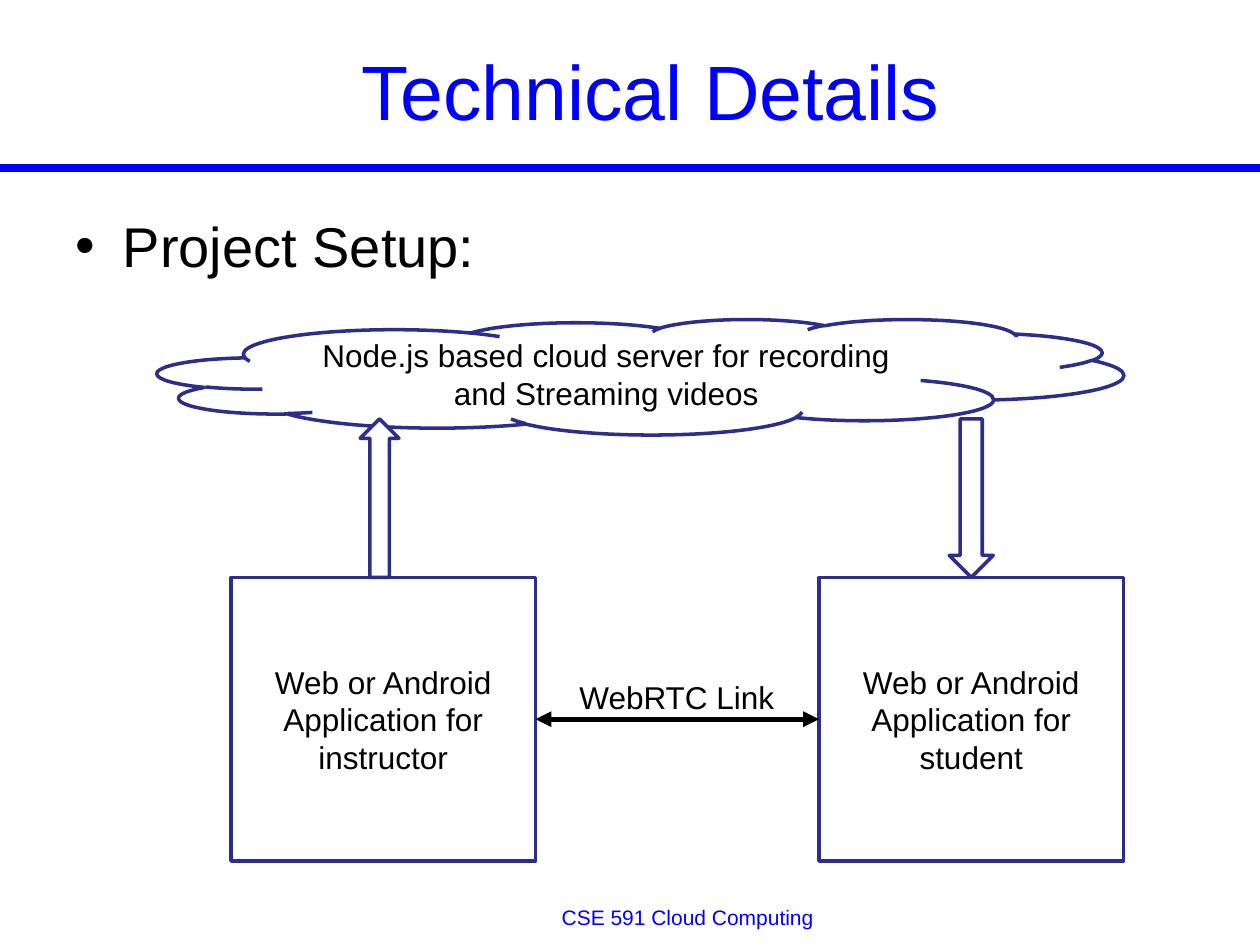
from dataclasses import dataclass

from lxml.etree import SubElement
from pptx import Presentation
from pptx.dml.color import RGBColor
from pptx.enum.shapes import MSO_CONNECTOR as Connector, MSO_SHAPE as Shape
from pptx.enum.text import MSO_ANCHOR as Anchor, PP_ALIGN as Align
from pptx.oxml.ns import qn
from pptx.util import Inches, Pt

CELL = Inches(10) // 120  # the slide is a grid of 120 columns by 90 rows


@dataclass(frozen=True)
class Theme:
    font: str = "Arial"
    accent: RGBColor = RGBColor(0x00, 0x00, 0xFF)
    ink: RGBColor = RGBColor(0x00, 0x00, 0x00)
    paper: RGBColor = RGBColor(0xFF, 0xFF, 0xFF)
    outline: RGBColor = RGBColor(0x2D, 0x2D, 0x8A)
    title: int = 44
    body: int = 32
    label: int = 18
    footer: int = 12


THEME = Theme()


@dataclass(frozen=True)
class Box:
    """An area in grid cells."""
    left: float
    top: float
    width: float
    height: float

    def inner(self, left, top, width, height):
        """Return an area whose corner is counted from this one's corner."""
        return Box(self.left + left, self.top + top, width, height)

    def lengths(self):
        return [round(cells * CELL)
                for cells in (self.left, self.top, self.width, self.height)]


def move(shape, box):
    shape.left, shape.top, shape.width, shape.height = box.lengths()


def write(shape, text, size, color, align):
    frame = shape.text_frame
    frame.word_wrap = True
    para = frame.paragraphs[0]
    para.text = text
    para.alignment = align
    para.space_before = Pt(0)
    para.font.name = THEME.font
    para.font.size = Pt(size)
    para.font.color.rgb = color
    return para


def add_node(page, kind, box, text=""):
    node = page.shapes.add_shape(kind, *box.lengths())
    node.shadow.inherit = False
    node.fill.solid()
    node.fill.fore_color.rgb = THEME.paper
    node.line.color.rgb = THEME.outline
    node.line.width = Pt(2)
    if text:
        node.text_frame.vertical_anchor = Anchor.MIDDLE
        write(node, text, THEME.label, THEME.ink, Align.CENTER)
    return node


def add_line(page, start, end, color, width):
    points = [round(cells * CELL) for cells in (*start, *end)]
    line = page.shapes.add_connector(Connector.STRAIGHT, *points)
    line.line.color.rgb = color
    line.line.width = Pt(width)
    SubElement(line._element.spPr, qn("a:effectLst"))
    return line


def add_header(page, box):
    title = page.shapes.title
    move(title, box.inner(8, 2, 108, 13))
    title.text_frame.vertical_anchor = Anchor.MIDDLE
    write(title, "Technical Details", THEME.title, THEME.accent, Align.CENTER)
    bottom = box.top + box.height
    add_line(page, (box.left, bottom), (box.left + box.width, bottom),
             THEME.accent, 4.5)


def add_body(page, box):
    body = page.placeholders[1]
    move(body, box)
    write(body, "Project Setup:", THEME.body, THEME.ink, Align.LEFT)


def add_diagram(page, box):
    add_node(page, Shape.CLOUD, box.inner(0, 0, box.width, 11),
             "Node.js based cloud server for recording and Streaming videos")
    side, height = 29, 27
    app_top = box.height - height
    instructor, student = [
        add_node(page, Shape.RECTANGLE, box.inner(left, app_top, side, height),
                 f"Web or Android Application for {role}")
        for left, role in ((7, "instructor"), (box.width - side, "student"))]

    arrow_height = 15.1
    for kind, left, width in ((Shape.UP_ARROW, 19.3, 3.7),
                              (Shape.DOWN_ARROW, 75.4, 4.2)):
        add_node(page, kind,
                 box.inner(left, app_top - arrow_height, width, arrow_height))

    link = add_line(page, (0, 0), (0, 0), THEME.ink, 3)
    link.begin_connect(instructor, 3)
    link.end_connect(student, 1)
    stroke = link.line._get_or_add_ln()
    for end in ("a:headEnd", "a:tailEnd"):
        SubElement(stroke, qn(end), type="triangle")
    label = page.shapes.add_textbox(*box.inner(39, 33.6, 22, 4.8).lengths())
    write(label, "WebRTC Link", THEME.label, THEME.ink, Align.LEFT)


def add_footer(page, box):
    footer = page.shapes.add_textbox(*box.lengths())
    para = write(footer, "CSE 591 Cloud Computing", THEME.footer,
                 THEME.accent, Align.CENTER)
    para.line_spacing = 0.8


def main():
    deck = Presentation()
    deck.slide_width, deck.slide_height = 120 * CELL, 90 * CELL
    page = deck.slides.add_slide(deck.slide_layouts[1])
    add_header(page, Box(0, 0, 120, 16))
    add_body(page, Box(6, 19.5, 108, 64))
    add_diagram(page, Box(15, 30.4, 92, 51.6))
    add_footer(page, Box(23, 86, 85, 3.1))
    deck.save("out.pptx")


if __name__ == "__main__":
    main()
